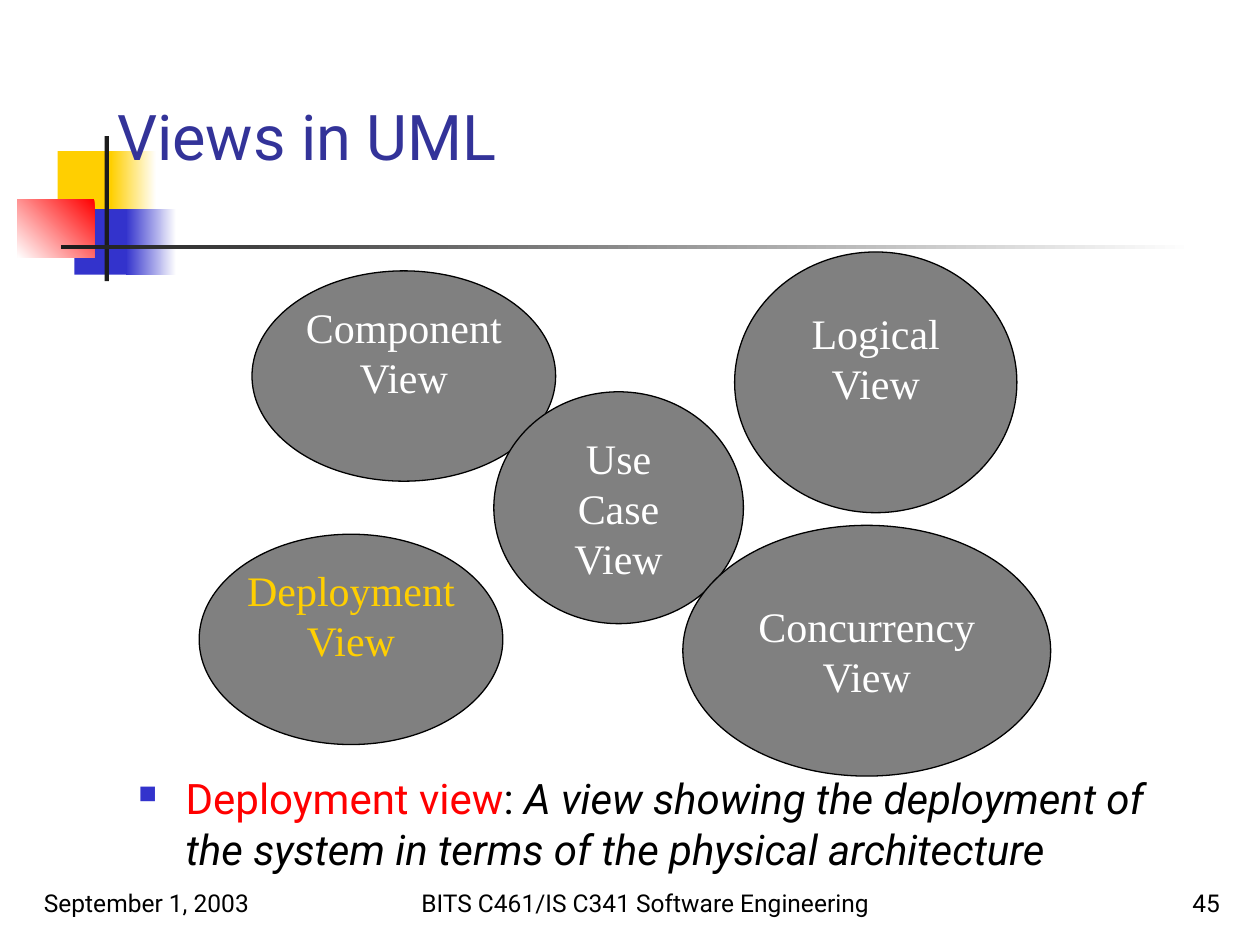
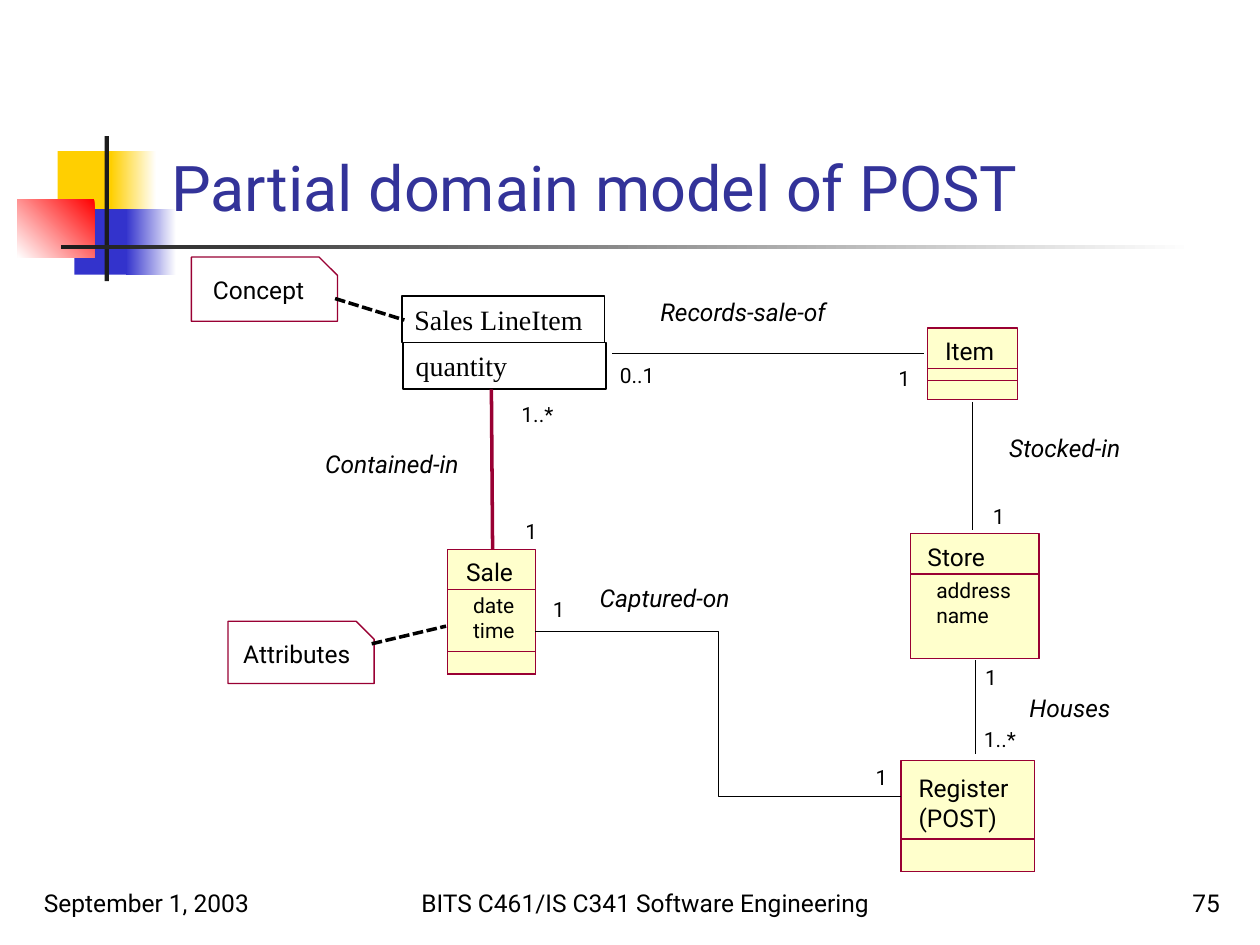
from dataclasses import dataclass
from typing import Any, NamedTuple

from lxml import etree
from pptx import Presentation
from pptx import util as u
from pptx.dml import color
from pptx.enum import dml, shapes, text
from pptx.oxml import ns


# Theme
@dataclass(frozen=True)
class Theme:
    sans: str = "Roboto"
    serif: str = "Times New Roman"
    title_color: str = "333399"
    ink: str = "000000"
    white: str = "FFFFFF"
    dark: str = "1C1C1C"
    yellow: str = "FFCF01"
    blue: str = "3333CC"
    red: str = "FF0000"
    gray: str = "808080"
    cream: str = "FFFFCC"
    maroon: str = "990033"
    title_size: float = 36
    body_size: float = 24
    item_size: float = 16
    label_size: float = 14
    small_size: float = 12


THEME = Theme()
BOX_MARGINS = (7.2, 3.6, 7.2, 3.6)
NO_MARGINS = (0, 0, 0, 0)
HAIRLINE = 0


# Repeated elements, with all lengths in points
class Area(NamedTuple):
    left: float
    top: float
    width: float
    height: float


class Span(NamedTuple):
    words: str
    size: float
    ink: str = THEME.ink
    font: str = THEME.sans
    italic: bool = False


class Band(NamedTuple):
    area: Area
    start: str
    end: str = ""
    angle: float = 180


class View(NamedTuple):
    area: Area
    lines: list[str]
    ink: str = THEME.white
    wrap: bool = True
    lift: float = 0


class ClassBox(NamedTuple):
    area: Area
    dividers: list[float]


class Note(NamedTuple):
    area: Area
    corner: float


class Label(NamedTuple):
    left: float
    top: float
    width: float
    words: str
    size: float = THEME.label_size
    italic: bool = False


class Link(NamedTuple):
    start: tuple[float, float]
    end: tuple[float, float]
    ink: str = THEME.ink
    weight: float = 0.75
    dashed: bool = False
    bent: bool = False


BANDS = [
    Band(Area(33, 86.4, 34.6, 37.4), THEME.yellow),
    Band(Area(63.4, 86.4, 25.9, 37.4), THEME.white, THEME.yellow),
    Band(Area(42.5, 119.5, 33.1, 37.4), THEME.blue),
    Band(Area(72, 119.5, 28.8, 37.4), THEME.white, THEME.blue),
    Band(Area(10, 113.8, 44, 33.4), THEME.red, THEME.white, 225),
    Band(Area(59.8, 77.8, 2.5, 82.8), THEME.dark),
    Band(Area(34.6, 140, 648, 2.5), THEME.white, THEME.dark),
]

VIEWS = [
    View(Area(144, 154.8, 173.5, 120.2), ["Component", "View"], wrap=False, lift=28),
    View(Area(282.2, 223.9, 142.6, 132.5), ["Use Case", "View"]),
    View(Area(419.8, 144, 161.3, 149), ["Logical", "View"], lift=28),
    View(Area(390.2, 300.2, 210.2, 143.3), ["Concurrency", "View"]),
    View(Area(113.8, 305.3, 173.5, 120.2), ["Deployment", "View"],
         THEME.yellow, wrap=False, lift=28),
]

CLASSES = [
    ClassBox(Area(255.6, 313.9, 50.4, 71.3), [337, 372.2]),
    ClassBox(Area(529.9, 187.4, 51.4, 41), [210.4, 217.4]),
    ClassBox(Area(520.3, 305, 73.4, 71.5), [328]),
    ClassBox(Area(514.8, 434.7, 76.4, 63.2), [479.5]),
]

NOTES = [
    Note(Area(109.4, 146.9, 83.5, 36.7), 10.5),
    Note(Area(130.3, 355, 83.5, 35.6), 10.3),
]

LINE_ITEM = {
    "Sales LineItem": (Area(229.7, 169.2, 115.9, 26.6), 0.75),
    "quantity": (Area(230.4, 195.8, 115.9, 26.6), 1),
}

LINKS = [
    Link((191.5, 170.6), (231.1, 182.9), weight=HAIRLINE, dashed=True),
    Link((212.4, 367.9), (254.9, 357.8), weight=HAIRLINE, dashed=True),
    Link((280.8, 222.5), (281.5, 313.9), THEME.maroon, HAIRLINE),
    Link((349.9, 202.1), (527.8, 202.1)),
    Link((555.6, 229.7), (555.6, 303.1)),
    Link((557.3, 377.3), (557.3, 430.6)),
    Link((306, 360.7), (514.8, 455), bent=True),
]

NAMES = [
    Label(121.7, 157, 56, "Concept"),
    Label(139, 365, 66, "Attributes"),
    Label(266.4, 318.2, 30, "Sale"),
    Label(540, 192.2, 32, "Item"),
    Label(530, 309.6, 37, "Store"),
    Label(524.9, 442, 60, "Register\n(POST)"),
]

ATTRIBUTES = [
    Label(270.4, 338.4, 28, "date\ntime", THEME.small_size),
    Label(535, 329.8, 46, "address\nname", THEME.small_size),
]

ASSOCIATIONS = [
    Label(left, top, width, words, italic=True)
    for left, top, width, words in [
        (185.8, 256.3, 82, "Contained-in"),
        (377.3, 170, 98, "Records-sale-of"),
        (576.7, 247.7, 84, "Stocked-in"),
        (588.3, 396, 61, "Houses"),
        (342.7, 333.4, 84, "Captured-on"),
    ]
]

MULTIPLICITIES = [
    Label(left, top, 22 if len(words) > 1 else 9, words, THEME.small_size)
    for left, top, words in [
        (298, 229.7, "1..*"),
        (300.2, 296.6, "1"),
        (513.4, 208.8, "1"),
        (354.2, 207.4, "0..1"),
        (567.4, 288, "1"),
        (563, 379.6, "1"),
        (562.3, 414.9, "1..*"),
        (316, 340.6, "1"),
        (500.4, 437, "1"),
    ]
]


# Helpers
def rgb(value: str) -> color.RGBColor:
    return color.RGBColor.from_string(value)


def set_format(target: Any, values: dict[str, Any]) -> None:
    for name, value in values.items():
        setattr(target, name, value)


def place(area: Area) -> list[u.Length]:
    return [u.Pt(length) for length in area]


def paint(shape: Any, fill: str = "", line: str = "", weight: float = 0) -> None:
    shape.shadow.inherit = False
    if fill:
        shape.fill.solid()
        shape.fill.fore_color.rgb = rgb(fill)
    else:
        shape.fill.background()
    if line:
        shape.line.color.rgb = rgb(line)
        shape.line.width = u.Pt(weight)
    else:
        shape.line.fill.background()


def write(shape: Any, paragraphs: list[list[Span]], align: Any = text.PP_ALIGN.LEFT,
          anchor: Any = text.MSO_ANCHOR.TOP, margins: tuple = BOX_MARGINS,
          wrap: bool = True) -> None:
    frame = shape.text_frame
    sides = ("margin_left", "margin_top", "margin_right", "margin_bottom")
    set_format(frame, {"word_wrap": wrap, "vertical_anchor": anchor}
               | {side: u.Pt(gap) for side, gap in zip(sides, margins)})
    for index, spans in enumerate(paragraphs):
        para = frame.paragraphs[0] if index == 0 else frame.add_paragraph()
        para.alignment = align
        for item in spans:
            span = para.add_run()
            span.text = item.words
            set_format(span.font, {"name": item.font, "size": u.Pt(item.size),
                                   "italic": item.italic})
            span.font.color.rgb = rgb(item.ink)


def add_text(page: Any, area: Area, paragraphs: list[list[Span]], **layout: Any) -> Any:
    box = page.shapes.add_textbox(*place(area))
    write(box, paragraphs, **layout)
    return box


def add_rect(page: Any, area: Area, *look: Any) -> Any:
    box = page.shapes.add_shape(shapes.MSO_SHAPE.RECTANGLE, *place(area))
    paint(box, *look)
    return box


def add_bullet(para: Any) -> None:
    props = para._p.get_or_add_pPr()
    indent = u.Pt(27)
    props.set("marL", str(indent))
    props.set("indent", str(-indent))
    tint = etree.SubElement(props, ns.qn("a:buClr"))
    etree.SubElement(tint, ns.qn("a:srgbClr"), val=THEME.blue)
    etree.SubElement(props, ns.qn("a:buSzPct"), val="60000")
    etree.SubElement(props, ns.qn("a:buChar"), char="■")


# Element drawing
def draw_band(page: Any, band: Band) -> None:
    box = add_rect(page, band.area, band.start)
    if band.end:
        box.fill.gradient()
        box.fill.gradient_angle = band.angle
        for stop, tint in zip(box.fill.gradient_stops, (band.start, band.end)):
            stop.color.rgb = rgb(tint)


def draw_view(page: Any, view: View) -> None:
    oval = page.shapes.add_shape(shapes.MSO_SHAPE.OVAL, *place(view.area))
    paint(oval, THEME.gray, THEME.ink, 0.75)
    lines = [[Span(line, THEME.body_size, view.ink, THEME.serif)] for line in view.lines]
    write(oval, lines, text.PP_ALIGN.CENTER, text.MSO_ANCHOR.MIDDLE,
          (7.2, 3.6, 7.2, 3.6 + view.lift), view.wrap)


def draw_class(page: Any, item: ClassBox) -> None:
    left, top, width, height = item.area
    add_rect(page, item.area, THEME.cream, THEME.maroon, HAIRLINE)
    for divider in item.dividers:
        section = Area(left, divider, width, top + height - divider)
        add_rect(page, section, "", THEME.maroon, HAIRLINE)


def draw_note(page: Any, note: Note) -> None:
    left, top, width, height = note.area
    right, bottom = left + width, top + height
    outline = [(right - note.corner, top), (right, top + note.corner),
               (right, bottom), (left, bottom)]
    builder = page.shapes.build_freeform(u.Pt(left), u.Pt(top))
    builder.add_line_segments([(u.Pt(x), u.Pt(y)) for x, y in outline], close=True)
    paint(builder.convert_to_shape(), "", THEME.maroon, HAIRLINE)


def draw_link(page: Any, link: Link) -> None:
    kind = shapes.MSO_CONNECTOR.ELBOW if link.bent else shapes.MSO_CONNECTOR.STRAIGHT
    line = page.shapes.add_connector(kind, *place(link.start + link.end))
    line.line.color.rgb = rgb(link.ink)
    line.line.width = u.Pt(link.weight)
    if link.dashed:
        line.line.dash_style = dml.MSO_LINE.SQUARE_DOT
    etree.SubElement(line._element.spPr, ns.qn("a:effectLst"))


def draw_label(page: Any, label: Label) -> None:
    lines = label.words.split("\n")
    area = Area(label.left, label.top, label.width, 1.2 * label.size * len(lines))
    add_text(page, area, [[Span(line, label.size, italic=label.italic)] for line in lines],
             margins=NO_MARGINS)


# Slides
def add_page(deck: Any, title: str, title_area: Area, number: int) -> Any:
    page = deck.slides.add_slide(deck.slide_layouts[6])
    for band in BANDS:
        draw_band(page, band)
    add_text(page, title_area, [[Span(title, THEME.title_size, THEME.title_color)]],
             anchor=text.MSO_ANCHOR.BOTTOM)
    footers = [
        ("September 1, 2003", 18, 149.8, text.PP_ALIGN.LEFT),
        ("BITS C461/IS C341 Software Engineering", 221.8, 293.8, text.PP_ALIGN.CENTER),
        (str(number), 554.4, 149.8, text.PP_ALIGN.RIGHT),
    ]
    for words, left, width, align in footers:
        add_text(page, Area(left, 492, width, 36), [[Span(words, THEME.label_size)]],
                 align=align, anchor=text.MSO_ANCHOR.BOTTOM)
    return page


def add_views_page(deck: Any) -> None:
    page = add_page(deck, "Views in UML", Area(59.8, 48.2, 612, 54), 45)
    for view in VIEWS:
        draw_view(page, view)
    size = THEME.body_size
    meaning = "A view showing the deployment of the system in terms of the physical architecture"
    body = add_text(page, Area(72, 438, 612, 77), [[
        Span("Deployment view", size, THEME.red), Span(": ", size),
        Span(meaning, size, italic=True)]])
    add_bullet(body.text_frame.paragraphs[0])


def add_domain_page(deck: Any) -> None:
    page = add_page(deck, "Partial domain model of POST", Area(90.7, 71.3, 613.4, 60.5), 75)
    for words, (area, weight) in LINE_ITEM.items():
        box = add_rect(page, area, "", THEME.ink, weight)
        write(box, [[Span(words, THEME.item_size, font=THEME.serif)]])
    groups = [(draw_note, NOTES), (draw_class, CLASSES), (draw_link, LINKS),
              (draw_label, NAMES + ATTRIBUTES + ASSOCIATIONS + MULTIPLICITIES)]
    for draw, items in groups:
        for item in items:
            draw(page, item)


def main() -> None:
    deck = Presentation()
    set_format(deck, {"slide_width": u.Pt(720), "slide_height": u.Pt(540)})
    add_views_page(deck)
    add_domain_page(deck)
    deck.save("out.pptx")


if __name__ == "__main__":
    main()
